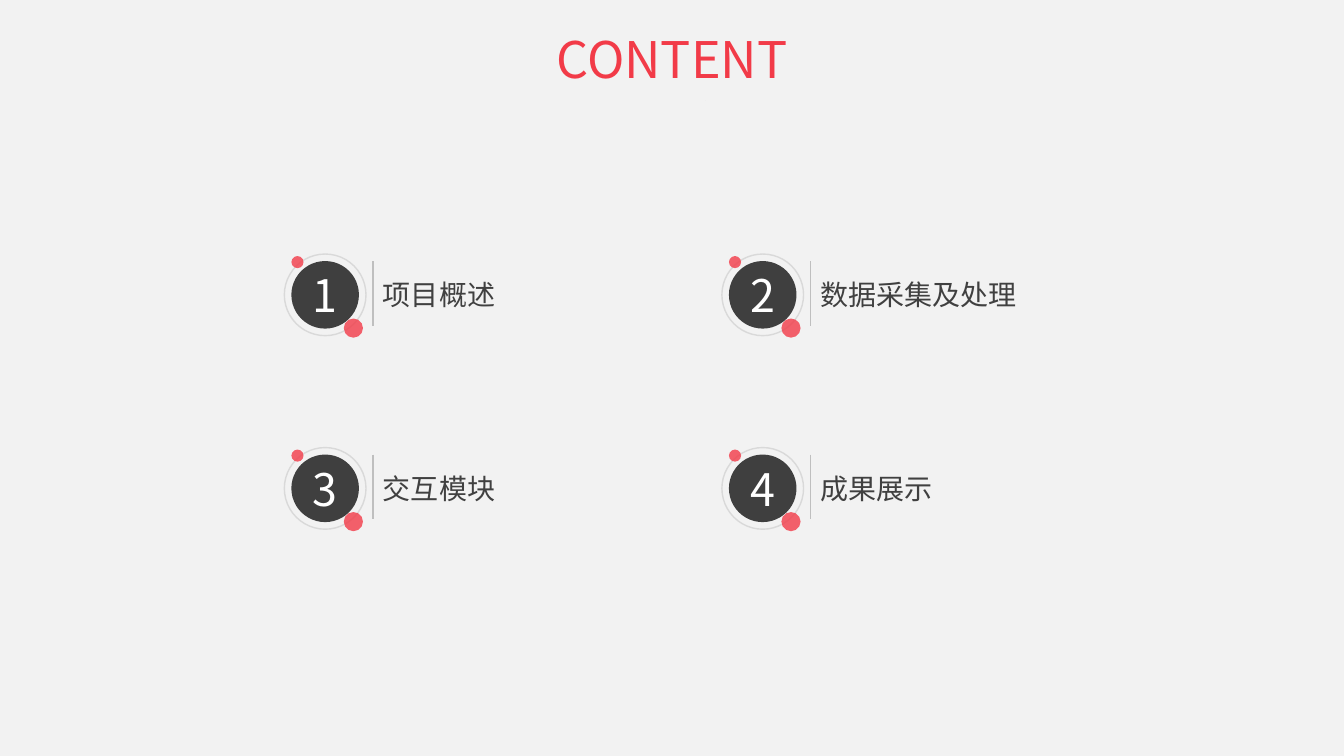
from dataclasses import dataclass

from pptx import Presentation, util as u
from pptx.dml.color import RGBColor
from pptx.enum import shapes as sh, text as tx
from pptx.oxml.ns import qn
from lxml import etree

# Content
TITLE = "CONTENT"
ITEMS = ["项目概述", "数据采集及处理", "交互模块", "成果展示"]


@dataclass(frozen=True)
class Theme:
    font: str = "Noto Sans CJK SC"
    back: str = "F2F2F2"
    red: str = "F23B48"
    dark: str = "3F3F3F"
    ink: str = "404040"
    ring: str = "D9D9D9"
    rule: str = "BFBFBF"
    white: str = "FFFFFF"
    head: int = 36
    digit: int = 32
    label: int = 20


T = Theme()

# Grid, in inches
WIDE, HIGH = 13.33, 7.5
COLS = 2
LEFT, TOP = 2.82, 2.52
STEP_X, STEP_Y = 4.34, 1.92
RING, DISC = 0.81, 0.67
DOTS = [(0.59, 0.64, 0.19), (0.07, 0.02, 0.12)]  # dx, dy, size
RULE_X, RULE_H = 0.88, 0.64
LABEL_W, LABEL_H = 2.47, 0.44


def rgb(code):
    return RGBColor.from_string(code)


def write(shape, words, size, color, align):
    para = shape.text_frame.paragraphs[0]
    para.text = words
    para.alignment = align
    font = para.font
    font.name, font.size = T.font, u.Pt(size)
    font.color.rgb = rgb(color)
    # East Asian glyphs take their own typeface entry
    latin = font._element.find(qn("a:latin"))
    east = etree.Element(qn("a:ea"), typeface=T.font)
    latin.addnext(east)


def circle(group, x, y, size, fill=None, line=None, alpha=None):
    dot = group.shapes.add_shape(
        sh.MSO_SHAPE.OVAL, *map(u.Inches, (x, y, size, size)))
    dot.shadow.inherit = False
    if fill:
        dot.fill.solid()
        dot.fill.fore_color.rgb = rgb(fill)
    else:
        dot.fill.background()
    if line:
        dot.line.color.rgb = rgb(line)
        dot.line.width = u.Pt(1)
    else:
        dot.line.fill.background()
    if alpha:
        tint = dot._element.spPr.find(qn("a:solidFill"))[0]
        etree.SubElement(tint, qn("a:alpha"), val=str(alpha * 1000))
    return dot


def label(home, box, words, size, color, align):
    area = home.shapes.add_textbox(*map(u.Inches, box))
    area.text_frame.word_wrap = True
    area.text_frame.auto_size = tx.MSO_AUTO_SIZE.SHAPE_TO_FIT_TEXT
    write(area, words, size, color, align)


def entry(slide, num, words):
    row, col = divmod(num, COLS)
    x, y = LEFT + col * STEP_X, TOP + row * STEP_Y
    group = slide.shapes.add_group_shape()
    gap = (RING - DISC) / 2

    # Numbered disc, ring and dots
    disc = circle(group, x + gap, y + gap, DISC, fill=T.dark)
    frame = disc.text_frame
    frame.margin_left = frame.margin_right = 0
    frame.margin_top = frame.margin_bottom = 0
    frame.word_wrap = False
    frame.vertical_anchor = tx.MSO_ANCHOR.MIDDLE
    write(disc, str(num + 1), T.digit, T.white, tx.PP_ALIGN.CENTER)
    circle(group, x, y, RING, line=T.ring)
    for dx, dy, size in DOTS:
        circle(group, x + dx, y + dy, size, fill=T.red, alpha=80)

    # Label and rule
    edge = x + RULE_X
    label(group, (edge, y + (RING - LABEL_H) / 2, LABEL_W, LABEL_H),
          words, T.label, T.ink, tx.PP_ALIGN.JUSTIFY)
    rule = group.shapes.add_connector(
        sh.MSO_CONNECTOR.STRAIGHT,
        *map(u.Inches, (edge, y + gap, edge, y + gap + RULE_H)))
    rule.line.color.rgb = rgb(T.rule)
    rule.line.width = u.Pt(1)
    etree.SubElement(rule._element.spPr, qn("a:effectLst"))


def chevron(slide, top):
    mid, arm, edge = WIDE / 2, 0.11, 0.09
    pts = [(mid + edge, top), (mid + arm, top + 0.02), (mid, top + 0.12),
           (mid - arm, top + 0.02), (mid - edge, top), (mid, top + 0.09)]
    pen = slide.shapes.build_freeform(*pts[0], scale=u.Inches(1))
    pen.add_line_segments(pts[1:], close=True)
    mark = pen.convert_to_shape()
    mark.shadow.inherit = False
    mark.fill.solid()
    mark.fill.fore_color.rgb = rgb(T.dark)
    mark.line.fill.background()


def main():
    deck = Presentation()
    deck.slide_width, deck.slide_height = u.Inches(WIDE), u.Inches(HIGH)
    slide = deck.slides.add_slide(deck.slide_layouts[6])
    slide.background.fill.solid()
    slide.background.fill.fore_color.rgb = rgb(T.back)

    for num, words in enumerate(ITEMS):
        entry(slide, num, words)

    # Heading
    span = 2.86
    label(slide, ((WIDE - span) / 2, 0.23, span, 0.71),
          TITLE, T.head, T.red, tx.PP_ALIGN.CENTER)
    chevron(slide, 0.95)
    deck.save("out.pptx")


if __name__ == "__main__":
    main()
